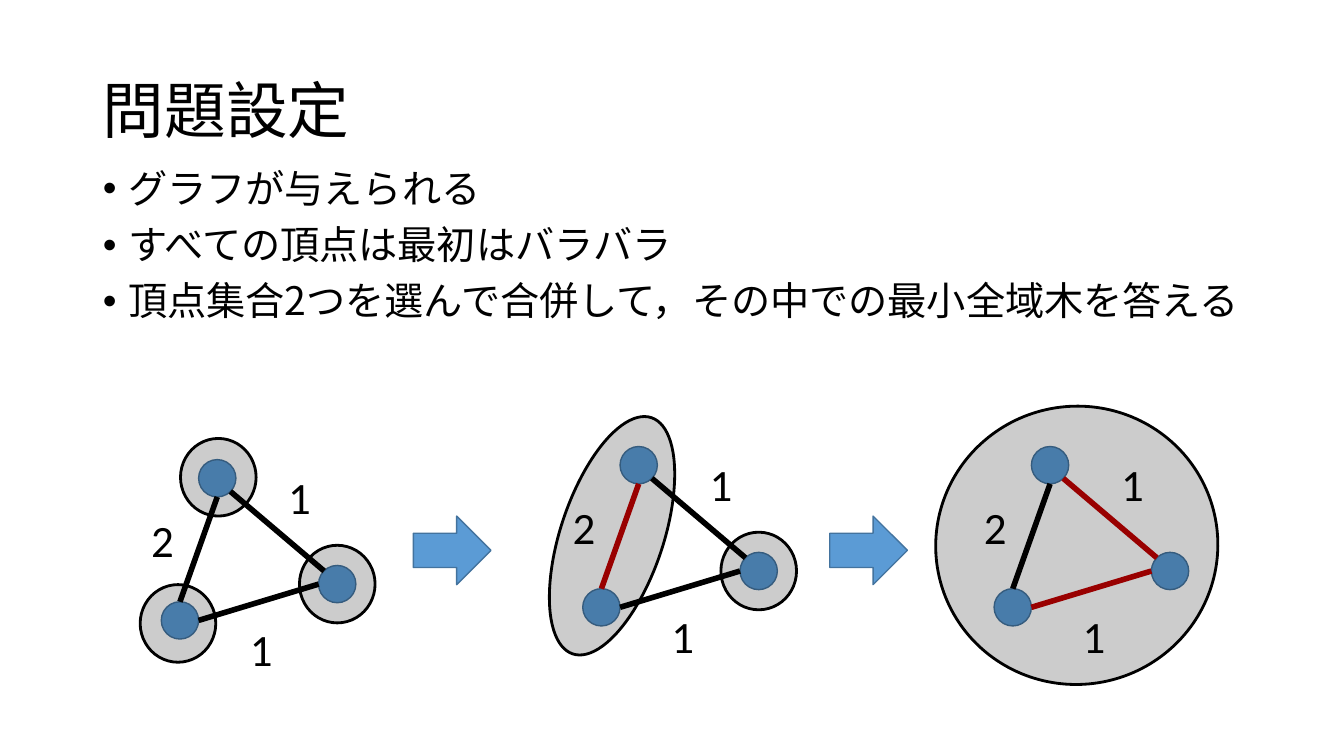
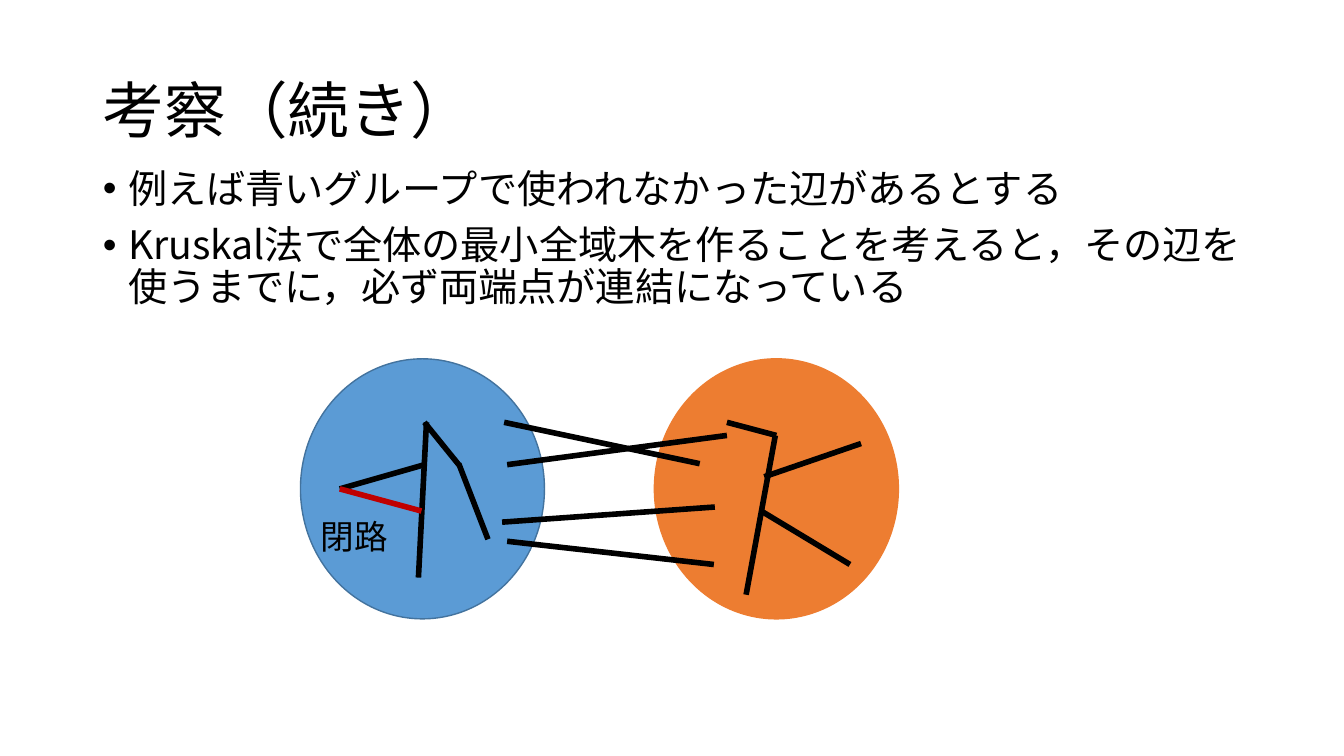
from math import sqrt

from pptx import Presentation
from pptx.dml.color import RGBColor
from pptx.enum.shapes import MSO_CONNECTOR, MSO_SHAPE as Preset
from pptx.enum.text import MSO_ANCHOR as Anchor, MSO_AUTO_SIZE as AutoSize, PP_ALIGN as Align
from pptx.oxml.xmlchemy import OxmlElement
from pptx.util import Inches, Pt

BLACK = RGBColor(0x00, 0x00, 0x00)
BLUE = RGBColor(0x5B, 0x9B, 0xD5)
DARK_BLUE = RGBColor(0x43, 0x73, 0x9E)
ORANGE = RGBColor(0xED, 0x7D, 0x31)
RED = RGBColor(0xC0, 0x00, 0x00)
JAPANESE_FONT = "Noto Sans CJK JP"
LATIN_FONT = "Calibri"

presentation = Presentation()
presentation.slide_width = Inches(13.33)
presentation.slide_height = Inches(7.5)

# Square grid: 75 rows down the slide, columns of the same size
CELL = presentation.slide_height / 75


def add_figure(slide, preset, box, fill, line, line_width=1, rotation=0, opacity=None):
    shape = slide.shapes.add_shape(preset, *(int(cells * CELL) for cells in box))
    shape.shadow.inherit = False
    shape.rotation = rotation
    shape.fill.solid()
    shape.fill.fore_color.rgb = fill
    shape.line.color.rgb = line
    shape.line.width = Pt(line_width)
    if opacity is not None:
        alpha = OxmlElement("a:alpha")
        alpha.set("val", str(opacity * 1000))
        shape._element.spPr.find(".//{*}srgbClr").append(alpha)


def add_edge(slide, ends, color=BLACK):
    edge = slide.shapes.add_connector(
        MSO_CONNECTOR.STRAIGHT, *(int(cells * CELL) for cells in ends))
    edge.line.color.rgb = color
    edge.line.width = Pt(4)
    edge._element.spPr.append(OxmlElement("a:effectLst"))


# Titles and lists, formatted alike on both slides
CONTENT = [
    ("問題設定", [
        "グラフが与えられる",
        "すべての頂点は最初はバラバラ",
        "頂点集合2つを選んで合併して，その中での最小全域木を答える",
    ]),
    ("考察（続き）", [
        "例えば青いグループで使われなかった辺があるとする",
        "Kruskal法で全体の最小全域木を作ることを考えると，その辺を使うまでに，必ず両端点が連結になっている",
    ]),
]
PLACEHOLDER_STYLES = [
    {"box": (9.2, 4, 115, 14.5), "size": 44, "anchor": Anchor.MIDDLE,
     "paragraph": {"alignment": Align.LEFT, "line_spacing": 0.9}, "indent": 0},
    {"box": (9.2, 16.3, 115, 51.2), "size": 28, "anchor": Anchor.TOP,
     "paragraph": {"alignment": Align.LEFT, "line_spacing": 0.9, "space_before": Pt(10)},
     "indent": Inches(0.25)},
]
slides = []
for title, bullets in CONTENT:
    slide = presentation.slides.add_slide(presentation.slide_layouts[1])
    slides.append(slide)
    for placeholder, lines, style in zip(slide.placeholders, ([title], bullets), PLACEHOLDER_STYLES):
        for name, cells in zip(("left", "top", "width", "height"), style["box"]):
            setattr(placeholder, name, int(cells * CELL))
        frame = placeholder.text_frame
        frame.text = "\n".join(lines)
        frame.auto_size = AutoSize.NONE
        frame.vertical_anchor = style["anchor"]
        for paragraph in frame.paragraphs:
            for name, value in style["paragraph"].items():
                setattr(paragraph, name, value)
            properties = paragraph._p.get_or_add_pPr()
            properties.set("marL", str(style["indent"]))
            properties.set("indent", str(-style["indent"]))
            font = paragraph.runs[0].font
            font.name = JAPANESE_FONT
            font.size = Pt(style["size"])
            font.color.rgb = BLACK
            east_asian = OxmlElement("a:ea")
            east_asian.set("typeface", JAPANESE_FONT)
            font._element.find("{*}latin").addnext(east_asian)
problem_slide, insight_slide = slides

# Three stages of one graph: vertices top, lower left and right
VERTEX_SIZE = 3.7
RADIUS = VERTEX_SIZE / 2
DIAGONAL = RADIUS / sqrt(2)
VERTICES = [(5.55, 1.85), (1.85, 15.95), (17.45, 12.35)]
EDGES = [  # from, to, and the direction in which each edge leaves its vertex
    (0, 1, (0, RADIUS)),
    (0, 2, (DIAGONAL, DIAGONAL)),
    (1, 2, (RADIUS, 0)),
]
WEIGHTS = [("2", -2, 4.8), ("1", 11.6, 0.5), ("1", 7.8, 15.6)]
STAGES = [  # origin, tree edges, and groups as box and rotation
    ((16, 45.6), (), [((x, y, 7.5, 7.7), 0)
                      for x, y in ((17.9, 43.5), (13.9, 58), (29.7, 54.1))]),
    ((57.8, 44.3), (0,), [((55.6, 40.8, 10.2, 24.7), 18.4), ((71.5, 52.8, 7.5, 7.7), 0)]),
    ((98.6, 44.3), (1, 2), [((92.8, 40.3, 28, 27.6), 349.2)]),
]
labels = []
for (left, top), tree_edges, groups in STAGES:
    centers = [(left + x, top + y) for x, y in VERTICES]
    for x, y in centers:
        add_figure(problem_slide, Preset.OVAL,
                   (x - RADIUS, y - RADIUS, VERTEX_SIZE, VERTEX_SIZE), BLUE, DARK_BLUE)
    for number, (start, end, (dx, dy)) in enumerate(EDGES):
        (x1, y1), (x2, y2) = centers[start], centers[end]
        add_edge(problem_slide, (x1 + dx, y1 + dy, x2 - dx, y2 - dy),
                 RED if number in tree_edges else BLACK)
    for box, rotation in groups:
        add_figure(problem_slide, Preset.OVAL, box, BLACK, BLACK, 2, rotation, opacity=20)
    labels += [(problem_slide, text, (left + x, top + y, 3.8, 6.4), LATIN_FONT, 32)
               for text, x, y in WEIGHTS]

# Arrows between the stages
for left in (41, 82.3):
    add_figure(problem_slide, Preset.RIGHT_ARROW, (left, 51.2, 7.7, 6.8), BLUE, DARK_BLUE)

# Two vertex groups with their trees
for left, fill, line in ((29.8, BLUE, DARK_BLUE), (64.9, ORANGE, ORANGE)):
    add_figure(insight_slide, Preset.OVAL, (left, 35.6, 24.2, 25.8), fill, line)

CROSSING_EDGES = [
    (50.3, 46.1, 72.1, 43.2), (50, 41.9, 69.4, 46),
    (49.8, 51.8, 70.9, 50.3), (50.3, 53.7, 70.8, 56),
]
BLUE_TREE = [
    (42.3, 41.9, 41.5, 57.3), (42.1, 41.9, 45.5, 46.1),
    (45.5, 46, 48.4, 53.5), (42.1, 46.1, 33.7, 48.5),
]
ORANGE_TREE = [
    (72.1, 41.9, 77, 43.2), (76.9, 43.2, 74, 59),
    (75.8, 47.3, 85.4, 44), (75.5, 50.7, 84.3, 56),
]
for ends in CROSSING_EDGES + BLUE_TREE + ORANGE_TREE:
    add_edge(insight_slide, ends)

# The unused edge that would close a cycle
add_edge(insight_slide, (33.7, 48.5, 41.8, 50.7), RED)
labels.append((insight_slide, "閉路", (30.8, 50.7, 12.9, 5), JAPANESE_FONT, 24))

# Edge weights and the cycle label
for slide, text, box, font_name, size in labels:
    label = slide.shapes.add_textbox(*(int(cells * CELL) for cells in box))
    label.text_frame.word_wrap = True
    label.text_frame.text = text
    font = label.text_frame.paragraphs[0].runs[0].font
    for name, value in {"name": font_name, "size": Pt(size)}.items():
        setattr(font, name, value)
    font.color.rgb = BLACK

presentation.save("out.pptx")
